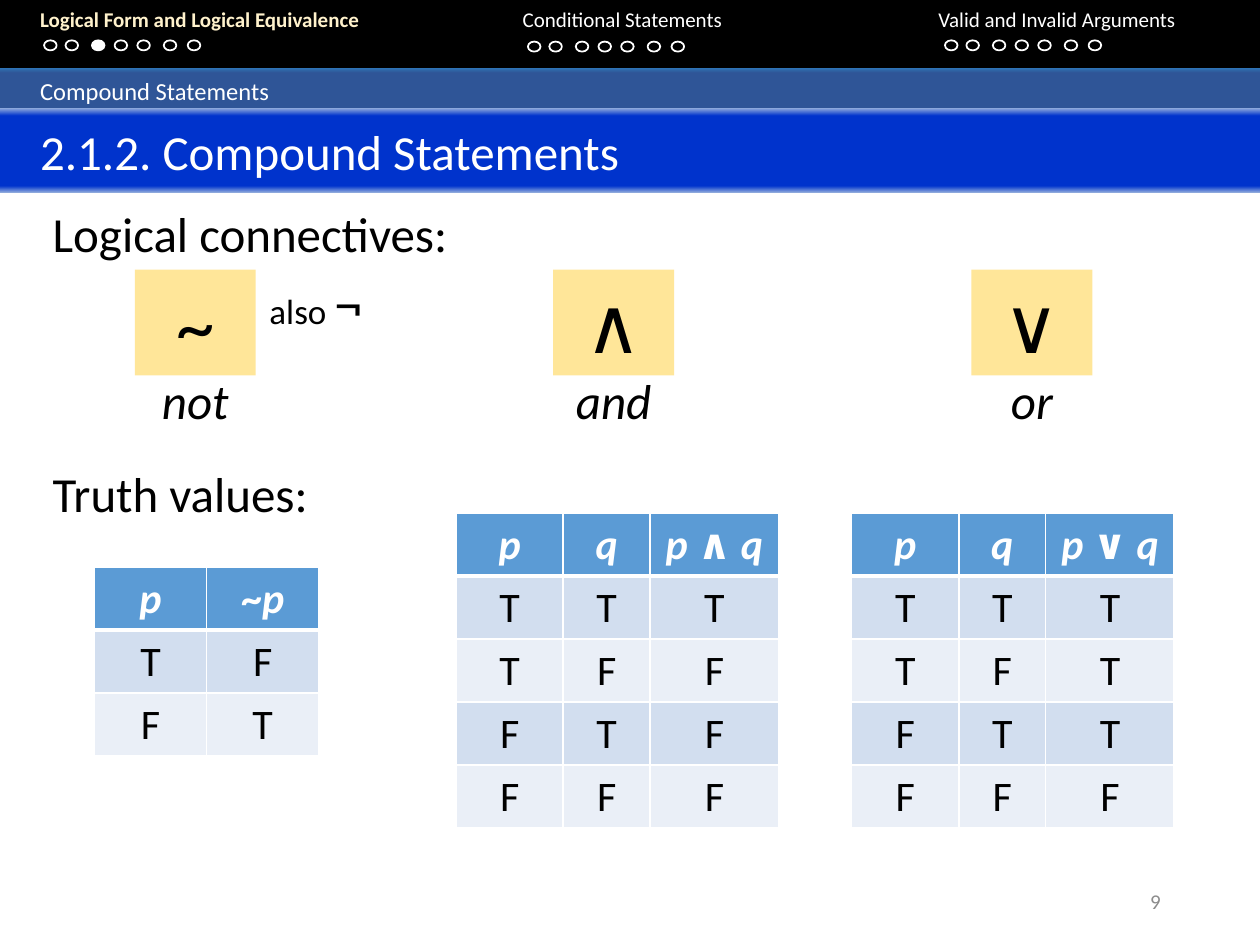
from itertools import groupby

from pptx import Presentation
from pptx.dml.color import RGBColor
from pptx.enum.shapes import MSO_SHAPE
from pptx.enum.text import MSO_ANCHOR, PP_ALIGN
from pptx.oxml.ns import qn
from pptx.oxml.xmlchemy import OxmlElement
from pptx.util import Inches, Pt

COLORS = {
    "black": "000000", "white": "FFFFFF", "cream": "FFF2CC", "gray": "8C8C8C",
    "amber": "FFE699", "header": "5B9BD5", "odd": "D2DEEF", "even": "EAEFF7",
    "section edge": "2E75B6", "section": "2F5597",
    "title edge": "8FAADC", "title": "0033CC",
}


def rgb(name):
    """Return the named colour."""
    return RGBColor.from_string(COLORS[name])


def add_xml(parent, tag, **attributes):
    """Append an XML element with the given attributes."""
    element = OxmlElement(tag)
    for name, value in attributes.items():
        element.set(name, str(value))
    parent.append(element)
    return element


def add_run(paragraph, text, size, color="black", bold=False, italic=False):
    """Append a formatted Calibri run."""
    run = paragraph.add_run()
    run.text = text
    font = run.font
    font.name, font.size, font.bold, font.italic = "Calibri", Pt(size), bold, italic
    font.color.rgb = rgb(color)


def add_tabs(paragraph, positions):
    """Give a paragraph left tab stops."""
    tab_list = add_xml(paragraph._p.get_or_add_pPr(), "a:tabLst")
    for position in positions:
        add_xml(tab_list, "a:tab", pos=Inches(position), algn="l")


def add_text(slide, box, runs, alignment=PP_ALIGN.LEFT, anchor=MSO_ANCHOR.TOP):
    """Add a text box holding one paragraph of (text, size, colour, bold, italic) runs."""
    frame = slide.shapes.add_textbox(*map(Inches, box)).text_frame
    frame.word_wrap = True
    frame.vertical_anchor = anchor
    paragraph = frame.paragraphs[0]
    paragraph.alignment = alignment
    for run in runs:
        add_run(paragraph, *run)
    return paragraph


def add_block(slide, box, fill=None, outline=None, kind=MSO_SHAPE.RECTANGLE):
    """Add a flat shape with an optional fill and outline."""
    shape = slide.shapes.add_shape(kind, *map(Inches, box))
    shape.shadow.inherit = False
    shape.fill.background()
    if fill:
        shape.fill.solid()
        shape.fill.fore_color.rgb = rgb(fill)
    shape.line.fill.background()
    if outline:
        shape.line.color.rgb = rgb(outline)
        shape.line.width = Pt(1)
    return shape


def add_banner(slide, box, text, size, color, stops):
    """Add a full-width bar with gradient edges and a left title."""
    shape = add_block(slide, box)
    shape.fill.gradient()
    shape.fill.gradient_angle = 270
    stop_list = shape.element.spPr.find(".//" + qn("a:gsLst"))
    for stop in list(stop_list):
        stop_list.remove(stop)
    for position, name in zip(stops, (color + " edge", color, color, color + " edge")):
        stop = add_xml(stop_list, "a:gs", pos=position * 1000)
        add_xml(stop, "a:srgbClr", val=COLORS[name])
    shape.text_frame.vertical_anchor = MSO_ANCHOR.MIDDLE
    paragraph = shape.text_frame.paragraphs[0]
    paragraph.alignment = PP_ALIGN.LEFT
    add_tabs(paragraph, [0.22])
    add_run(paragraph, "\t" + text, size, "white")


def add_progress(slide, left, top, current=None):
    """Add a row of seven progress dots, the current one filled."""
    for index, offset in enumerate((0, 0.17, 0.38, 0.56, 0.74, 0.95, 1.14)):
        fill = "white" if index == current else None
        box = (left + offset, top, 0.1, 0.08)
        add_block(slide, box, fill, "white", MSO_SHAPE.OVAL)


def add_navigation(slide, left, top, width, height):
    """Add the black bar with section names and progress dots."""
    add_block(slide, (left, top - 0.02, width, height + 0.02), "black")
    paragraph = add_text(slide, (left, top, width, 0.5), [])
    add_tabs(paragraph, [0.22, 4.05, 7.35])
    add_run(paragraph, "\tLogical Form and Logical Equivalence", 12, "cream", True)
    add_run(paragraph, "\tConditional Statements\tValid and Invalid Arguments", 12, "white")
    for dot_left, dot_top, current in ((0.35, 0.32, 2), (4.19, 0.33, None), (7.5, 0.32, None)):
        add_progress(slide, left + dot_left, top + dot_top, current)


def add_connective(slide, left, top, width, symbol, name):
    """Add a connective symbol on a tile with its name below."""
    tile = add_block(slide, (left, top, width, 0.84), "amber")
    tile.text_frame.vertical_anchor = MSO_ANCHOR.MIDDLE
    paragraph = tile.text_frame.paragraphs[0]
    paragraph.alignment = PP_ALIGN.CENTER
    add_run(paragraph, symbol, 44)
    add_text(slide, (left, top + 0.75, width, 0.57),
             [(name, 28, "black", False, True)], PP_ALIGN.CENTER)


def format_cell(cell, text, row):
    """Fill, border and label one truth table cell."""
    properties = cell._tc.get_or_add_tcPr()
    thick_side = {0: "B", 1: "T"}.get(row)
    for side in "LRTB":
        width = Pt(3 if side == thick_side else 1)
        line = add_xml(properties, "a:ln" + side, w=width)
        add_xml(add_xml(line, "a:solidFill"), "a:srgbClr", val=COLORS["white"])
    cell.fill.solid()
    cell.fill.fore_color.rgb = rgb("header" if row == 0 else "odd" if row % 2 else "even")
    paragraph = cell.text_frame.paragraphs[0]
    paragraph.alignment = PP_ALIGN.CENTER
    if row:
        add_run(paragraph, text, 24)
        return
    for is_letter, characters in groupby(text, str.isalpha):
        add_run(paragraph, "".join(characters), 24, "white", True, is_letter)


def add_truth_table(slide, left, top, widths, headings, rows):
    """Add a truth table whose rows are strings of T and F."""
    row_height = 0.5
    contents = [headings, *rows]
    box = (left, top, sum(widths), row_height * len(contents))
    table = slide.shapes.add_table(len(contents), len(widths), *map(Inches, box)).table
    for column, width in zip(table.columns, widths):
        column.width = Inches(width)
    for row, values in enumerate(contents):
        for column, value in enumerate(values):
            format_cell(table.cell(row, column), value, row)


def main():
    """Build and save the slide."""
    presentation = Presentation()
    presentation.slide_width, presentation.slide_height = Inches(10), Inches(7.5)
    slide = presentation.slides.add_slide(presentation.slide_layouts[6])

    add_navigation(slide, 0, 0, 10, 0.54)
    add_banner(slide, (0, 0.54, 10, 0.36), "Compound Statements", 14, "section", (0, 11, 91, 100))
    add_banner(slide, (0, 0.86, 10, 0.67), "2.1.2. Compound Statements", 28, "title", (0, 9, 92, 100))

    add_text(slide, (0.32, 1.57, 4.27, 0.57), [("Logical connectives:", 28)])
    for index, (symbol, name) in enumerate((("~", "not"), ("∧", "and"), ("∨", "or"))):
        add_connective(slide, 1.07 + 3.32 * index, 2.14, 0.96, symbol, name)
    add_text(slide, (2.04, 2.08, 1.09, 0.64), [("also ", 20), ("¬", 32)])

    add_text(slide, (0.32, 3.63, 2.6, 0.57), [("Truth values:", 28)])
    add_truth_table(slide, 0.75, 4.5, (0.89, 0.89), ("p", "~p"), ("TF", "FT"))
    widths = (0.85, 0.69, 1.02)
    add_truth_table(slide, 3.62, 4.07, widths, ("p", "q", "p ∧ q"), ("TTT", "TFF", "FTF", "FFF"))
    add_truth_table(slide, 6.76, 4.07, widths, ("p", "q", "p ∨ q"), ("TTT", "TFT", "FTT", "FFF"))

    add_text(slide, (7.06, 6.95, 2.25, 0.4), [("9", 12, "gray")],
             PP_ALIGN.RIGHT, MSO_ANCHOR.MIDDLE)
    presentation.save("out.pptx")


if __name__ == "__main__":
    main()
